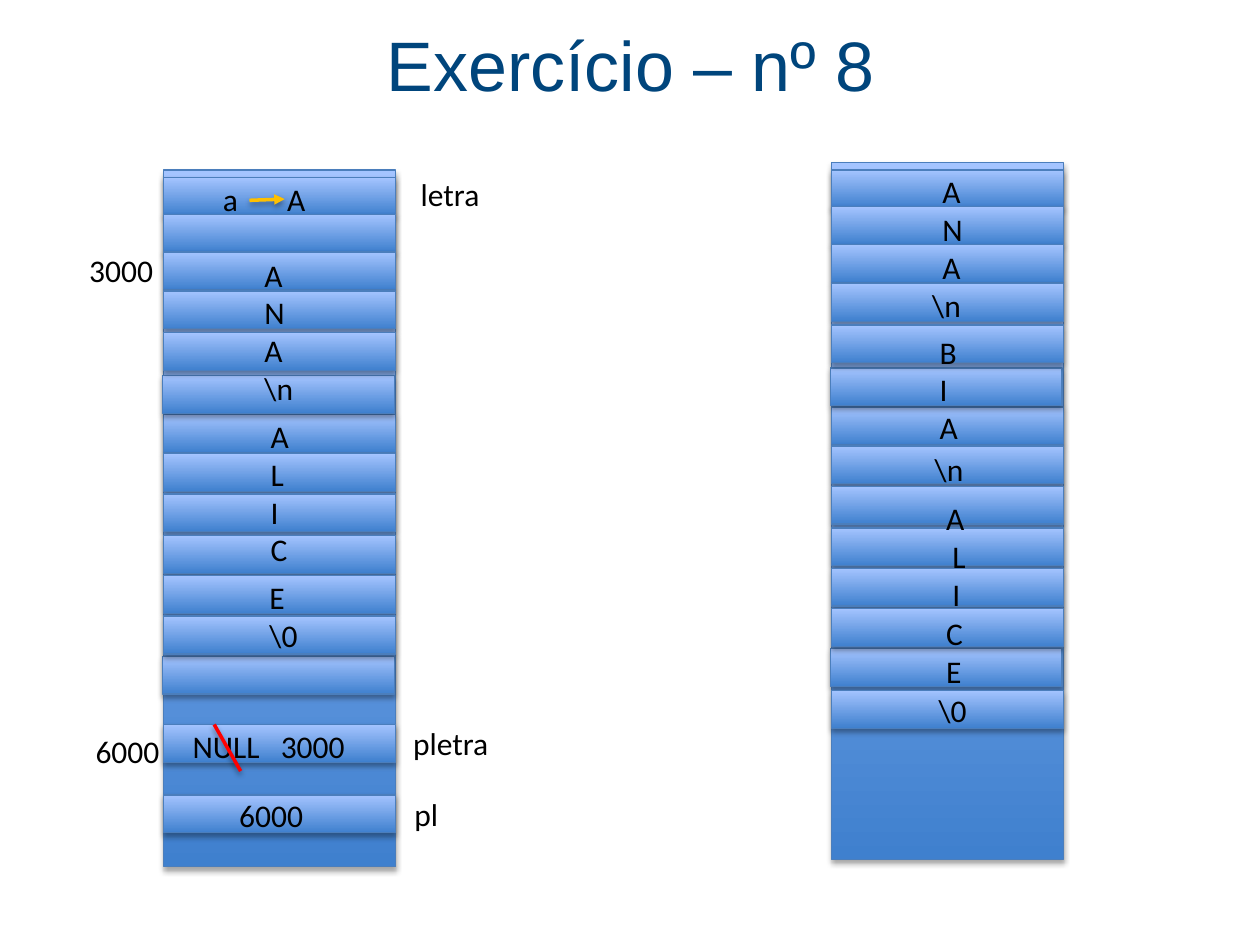
from pptx import Presentation
from pptx import util as u
from pptx.dml.color import RGBColor
from pptx.enum import shapes, text
from pptx.oxml.ns import qn
from lxml import etree

deck = Presentation()
deck.slide_width, deck.slide_height = u.Inches(10), u.Inches(7.5)
UNIT = deck.slide_width / 100  # grid of 100 columns by 75 rows

# Cell tops below the top of a memory column, in drawing order:
# a cell that stands out comes after the one below it
CELLS = [0.6, 3.5, 6.5, 9.6, 19.4, 16.3, 12.9, 22.5, 25.7, 29,
         38.6, 32.2, 35.4]
WIDE, TALL, ROW = 18.4, 3, 3.05


def grid(*vals):
    return [u.Emu(round(v * UNIT)) for v in vals]


def hue(code):
    return RGBColor.from_string(code)


def shade(item, alpha):
    """Soft shadow straight below a shape or line."""
    fx = etree.SubElement(item._element.spPr, qn("a:effectLst"))
    drop = etree.SubElement(fx, qn("a:outerShdw"), blurRad="40000",
                            dist="23000", dir="5400000", rotWithShape="0")
    tint = etree.SubElement(drop, qn("a:srgbClr"), val="000000")
    etree.SubElement(tint, qn("a:alpha"), val=str(alpha * 1000))


def style(frame, words, size=18, font="Calibri", color="000000", align=None):
    """Fill a text frame, one paragraph for each line of words."""
    for i, word in enumerate(words.split("|")):
        para = frame.paragraphs[0] if i == 0 else frame.add_paragraph()
        para.alignment = align
        run = para.add_run()
        run.text = word
        run.font.size, run.font.name = u.Pt(size), font
        run.font.color.rgb = hue(color)


def label(slide, x, y, words, wide=8.5, **form):
    high = 1 + ROW * len(words.split("|"))
    box = slide.shapes.add_textbox(*grid(x, y, wide, high))
    box.text_frame.word_wrap = True
    style(box.text_frame, words, **form)


def bar(slide, x, y, wide=WIDE, high=TALL):
    rect = slide.shapes.add_shape(shapes.MSO_SHAPE.RECTANGLE,
                                  *grid(x, y, wide, high))
    rect.fill.gradient()
    rect.fill.gradient_angle = 90
    for stop, code in zip(rect.fill.gradient_stops, ("3F80CE", "A4C4FF")):
        stop.color.rgb = hue(code)
    rect.line.color.rgb = hue("4B7EBC")
    rect.line.width = u.Pt(0.75)
    shade(rect, 35)


def stroke(slide, ends, color, arrow=False):
    line = slide.shapes.add_connector(shapes.MSO_CONNECTOR.STRAIGHT,
                                      *grid(*ends))
    line.line.color.rgb = hue(color)
    line.line.width = u.Pt(2)
    if arrow:
        etree.SubElement(line.line._get_or_add_ln(), qn("a:tailEnd"),
                         type="triangle")
    shade(line, 38)


def stack(slide, x, y, tops, notes):
    """Memory column at x, y with its cells and the text in them."""
    bar(slide, x, y, high=55.3)
    for top in tops:
        nudge = 0.1 if top in (16.3, 38.6) else 0
        bar(slide, x - nudge, y + top)
    for dx, dy, words in notes:
        label(slide, x + dx, y + dy, words)


def head(slide, x, y, wide, high):
    title = slide.shapes.title
    title.left, title.top, title.width, title.height = grid(x, y, wide, high)
    title.text_frame.vertical_anchor = text.MSO_ANCHOR.MIDDLE
    style(title.text_frame, "Exercício – nº 8", size=40, font="Arial",
          color="00457C", align=text.PP_ALIGN.CENTER)


def memory(slide, x, y):
    """Variables and the pointers to them."""
    stack(slide, x, y, CELLS + [44, 49.6], [
        (3.7, 0.3, "a"), (8.8, 0.3, "A"),
        (7, 6.3, "A|N|A|\\n"), (7.5, 19.1, "A|L|I|C"),
        (7.4, 31.9, "E|\\0"),
        (1.3, 43.7, "NULL"), (8.3, 43.7, "3000"), (5, 49.2, "6000"),
        # names on the right, addresses on the left
        (19.4, -0.1, "letra"), (18.8, 43.5, "pletra"), (18.9, 49.1, "pl"),
        (-6.9, 5.9, "3000"), (-6.4, 44.1, "6000")])
    stroke(slide, (x + 6.8, y + 2.4, x + 9.6, y + 2.3), "FFC000", arrow=True)
    stroke(slide, (x + 4, y + 44, x + 6.1, y + 47.7), "FF0000")


def file(slide, x, y):
    """Lines of text as stored one after the other."""
    stack(slide, x, y, CELLS + [41.9], [
        (7.8, 0.3, "A|N|A"), (7, 9.3, "\\n"),
        (7.6, 13, "B|I|A"), (7.2, 22.3, "\\n"),
        (8.1, 26.2, "A"), (8.6, 26.2 + ROW, "L|I"),
        (8.1, 26.2 + 3 * ROW, "C|E"), (7.5, 26.2 + 5 * ROW, "\\0")])


def main():
    slide = deck.slides.add_slide(deck.slide_layouts[5])
    head(slide, 3.5, 0.3, 93.1, 9.5)
    file(slide, 66, 12.9)
    memory(slide, 13, 13.5)
    deck.save("out.pptx")


if __name__ == "__main__":
    main()
